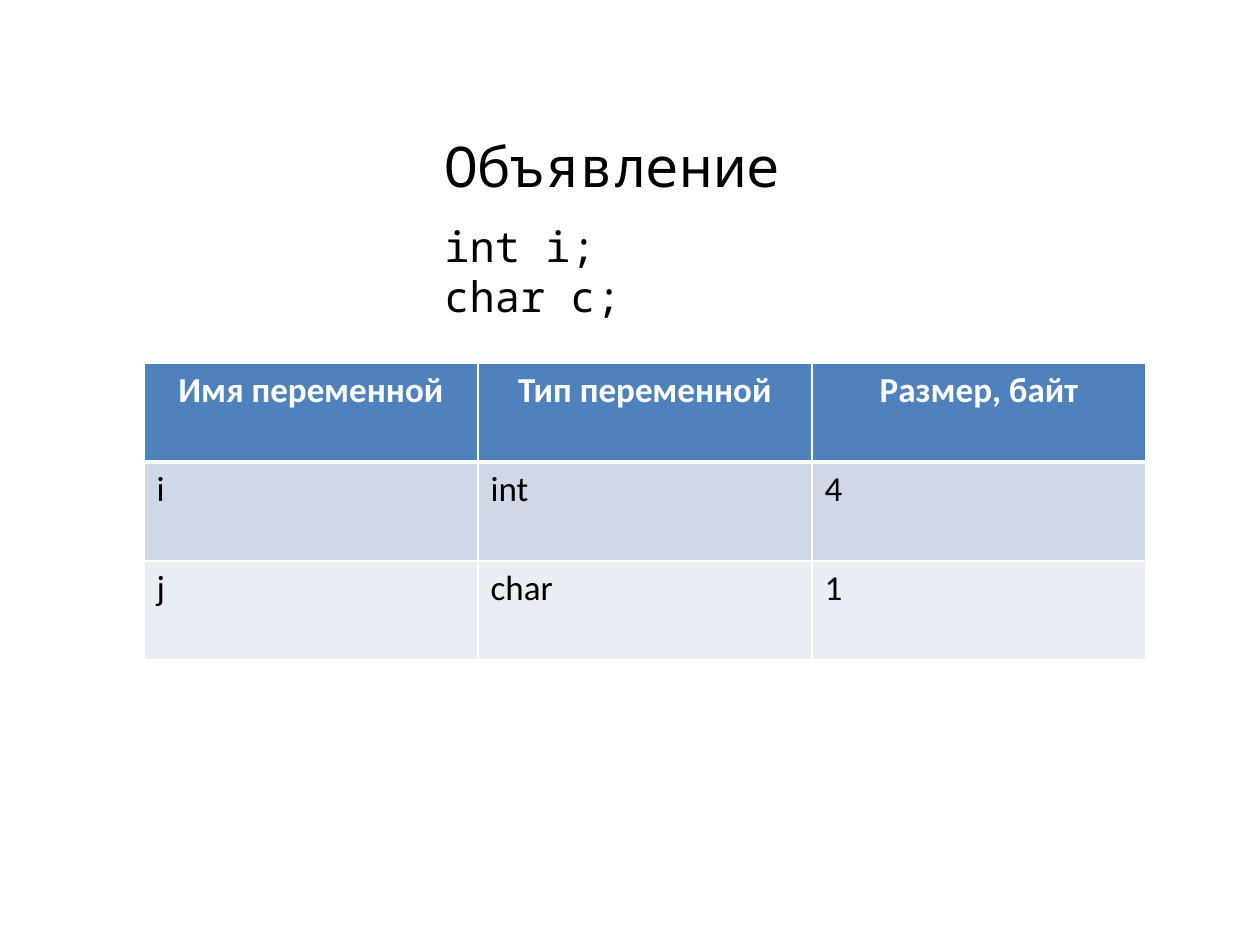
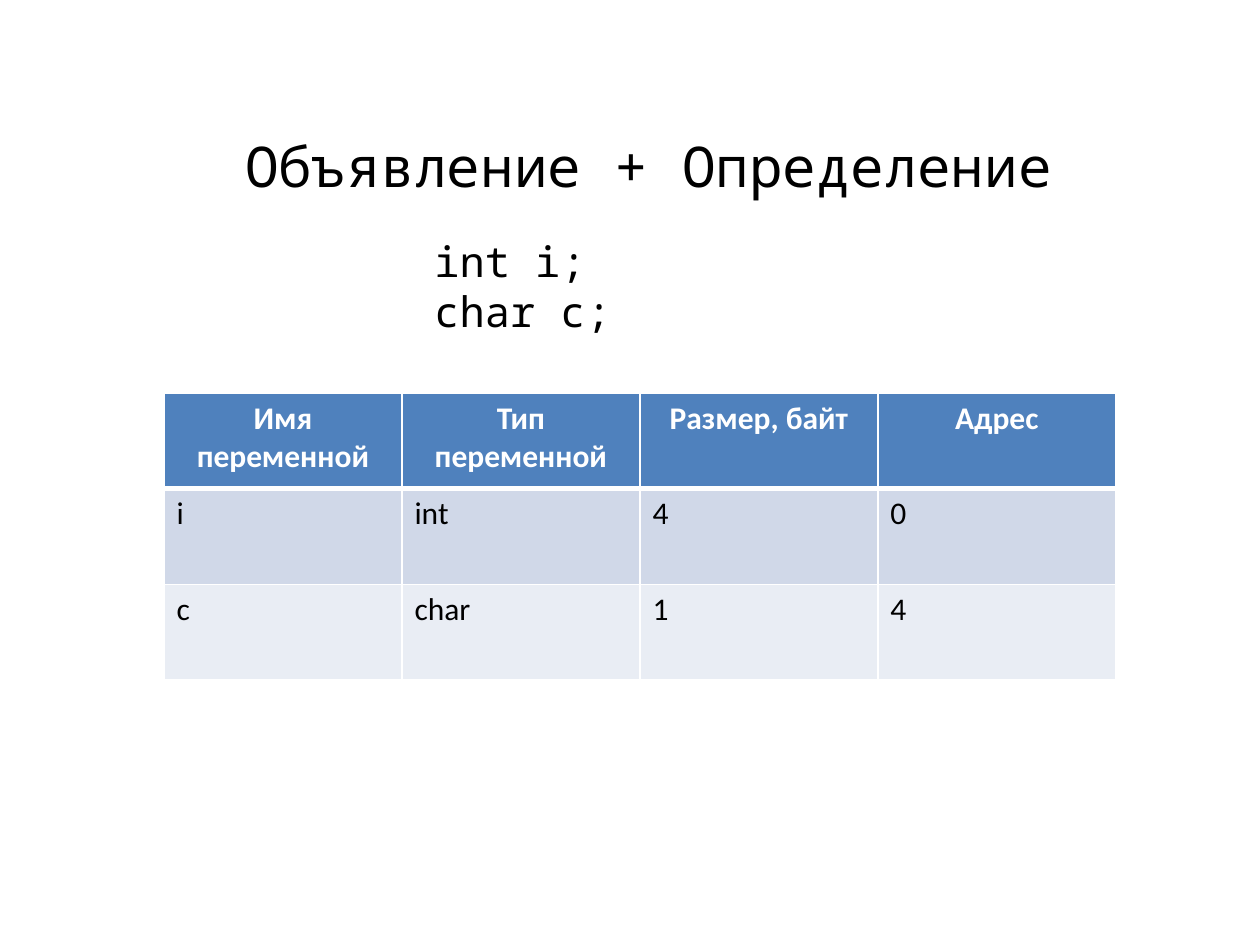
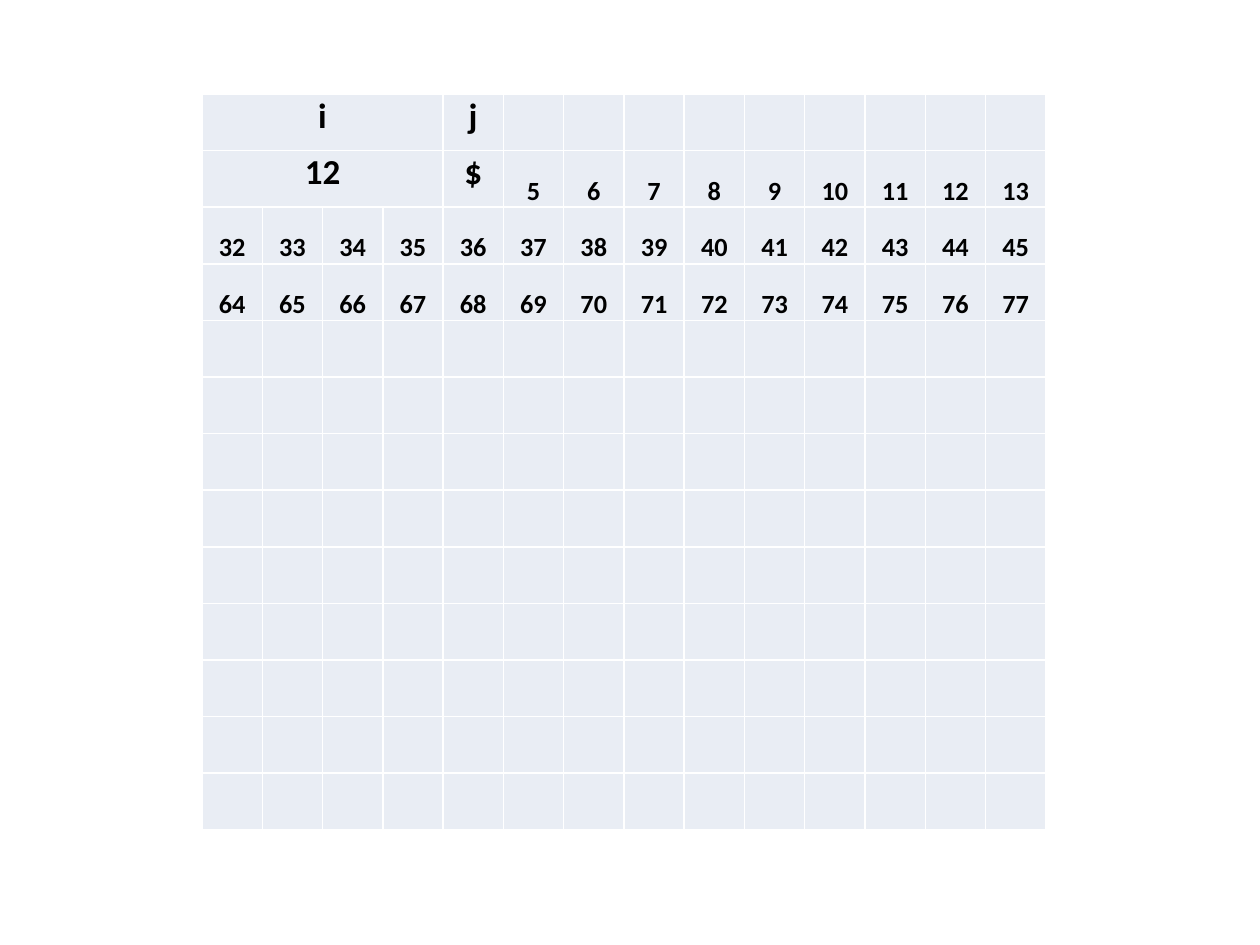
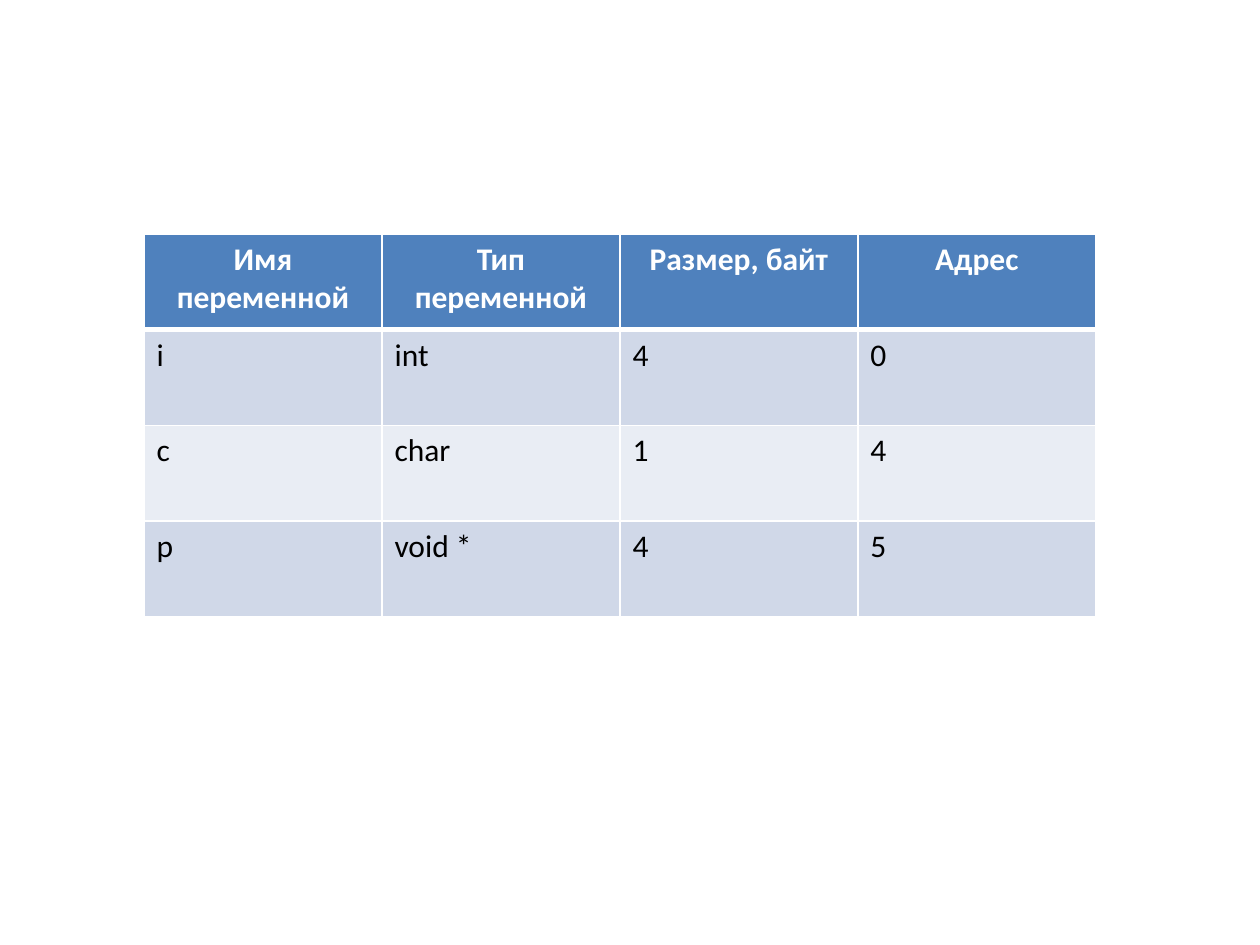
from dataclasses import dataclass

from lxml.etree import SubElement
from pptx import Presentation
from pptx.dml.color import RGBColor
from pptx.enum.text import MSO_ANCHOR, MSO_AUTO_SIZE, PP_ALIGN
from pptx.oxml.ns import qn
from pptx.util import Emu, Pt

PX = 914400 / 126


@dataclass(frozen=True)
class Theme:
    """Colours, fonts and type sizes of the deck."""
    white: str = "FFFFFF"
    black: str = "000000"
    header: str = "4F81BD"
    band: str = "D0D8E8"
    pale: str = "E9EDF4"
    body_font: str = "Calibri"
    code_font: str = "Noto Sans Mono"
    title_size: int = 32
    code_size: int = 24
    large_size: int = 20
    table_size: int = 18
    byte_size: int = 15
    thin: int = 1
    thick: int = 3


T = Theme()


def px(n):
    """Turn pixels into EMU."""
    return Emu(round(n * PX))


def add_run(p, text, size, font, color=T.black, bold=False):
    """Add one formatted run to a paragraph."""
    r = p.add_run()
    r.text = text
    r.font.size = Pt(size)
    r.font.name = font
    r.font.bold = bold
    r.font.color.rgb = RGBColor.from_string(color)


def add_text(s, box, lines, size, align=PP_ALIGN.LEFT):
    """Place monospaced lines in a wrapping text box."""
    tf = s.shapes.add_textbox(*map(px, box)).text_frame
    tf.word_wrap = True
    tf.auto_size = MSO_AUTO_SIZE.SHAPE_TO_FIT_TEXT
    for i, line in enumerate(lines):
        p = tf.paragraphs[0] if i == 0 else tf.add_paragraph()
        p.alignment = align
        add_run(p, line, size, T.code_font)


def style_cell(cell, fill, top=T.thin, bottom=T.thin):
    """Give a cell white borders and a solid fill."""
    tcPr = cell._tc.get_or_add_tcPr()
    widths = {"a:lnL": T.thin, "a:lnR": T.thin, "a:lnT": top, "a:lnB": bottom}
    for tag, width in widths.items():
        ln = SubElement(tcPr, qn(tag), w=str(Pt(width)))
        SubElement(SubElement(ln, qn("a:solidFill")), qn("a:srgbClr"), val=T.white)
    cell.fill.solid()
    cell.fill.fore_color.rgb = RGBColor.from_string(fill)


def add_grid(s, box, rows, cols):
    """Add an unbanded table with equal rows and columns filling the box."""
    tbl = s.shapes.add_table(rows, cols, *map(px, box)).table
    tbl.first_row = tbl.horz_banding = False
    for col in tbl.columns:
        col.width = px(box[2] / cols)
    for row in tbl.rows:
        row.height = px(box[3] / rows)
    return tbl


def add_variable_table(s, box, rows, size):
    """Draw a table of variables: blue header, then alternating bands."""
    tbl = add_grid(s, box, len(rows), len(rows[0]))
    for i, row in enumerate(rows):
        is_head = i == 0
        fill = T.header if is_head else (T.pale, T.band)[i % 2]
        for j, text in enumerate(row):
            cell = tbl.cell(i, j)
            style_cell(cell, fill, top=T.thick if i == 1 else T.thin,
                       bottom=T.thick if is_head else T.thin)
            p = cell.text_frame.paragraphs[0]
            p.alignment = PP_ALIGN.CENTER if is_head else PP_ALIGN.LEFT
            add_run(p, text, size, T.body_font, T.white if is_head else T.black, is_head)


def add_memory_map(s, box, rows, cols, variables, addresses):
    """Draw memory as byte cells; variables hold (name, value, first byte, bytes)."""
    tbl = add_grid(s, box, rows, cols)
    for cell in tbl.iter_cells():
        style_cell(cell, T.pale)
        cell.margin_left = cell.margin_right = cell.margin_top = px(1)
        cell.margin_bottom = 0

    def write(i, j, text, size, anchor):
        cell = tbl.cell(i, j)
        cell.vertical_anchor = anchor
        p = cell.text_frame.paragraphs[0]
        p.alignment = PP_ALIGN.CENTER
        add_run(p, text, size, T.body_font, bold=True)

    for name, value, first, count in variables:
        for i, text in enumerate((name, value)):
            if count > 1:
                tbl.cell(i, first).merge(tbl.cell(i, first + count - 1))
            write(i, first, text, T.large_size, MSO_ANCHOR.TOP)
    for i, (first_col, start) in enumerate(addresses, 1):
        for j in range(first_col, cols):
            write(i, j, str(start + j), T.byte_size, MSO_ANCHOR.BOTTOM)


def add_slide(prs):
    """Add a blank slide."""
    return prs.slides.add_slide(prs.slide_layouts[6])


HEAD = ("Имя переменной", "Тип переменной", "Размер, байт", "Адрес")
CODE = ("int i;", "char c;")
ADDRESSED = [HEAD, ("i", "int", "4", "0"), ("c", "char", "1", "4")]

prs = Presentation()
prs.slide_width, prs.slide_height = px(1260), px(945)

s = add_slide(prs)
add_variable_table(s, (144, 363, 1002, 297),
                   [HEAD[:3], ("i", "int", "4"), ("j", "char", "1")], T.large_size)
add_text(s, (432, 125, 743, 81), ["Объявление"], T.title_size)
add_text(s, (432, 214, 513, 115), CODE, T.code_size)

s = add_slide(prs)
add_variable_table(s, (164, 393, 952, 287), ADDRESSED, T.table_size)
add_text(s, (133, 125, 1032, 81), ["Объявление + Определение"], T.title_size,
         PP_ALIGN.CENTER)
add_text(s, (422, 229, 513, 115), CODE, T.code_size)

s = add_slide(prs)
add_memory_map(s, (202, 94, 844, 736), 13, 14,
               variables=[("i", "12", 0, 4), ("j", "$", 4, 1)],
               addresses=[(5, 0), (0, 32), (0, 64)])

s = add_slide(prs)
add_variable_table(s, (144, 234, 952, 383),
                   ADDRESSED + [("p", "void *", "4", "5")], T.table_size)

prs.save("out.pptx")
